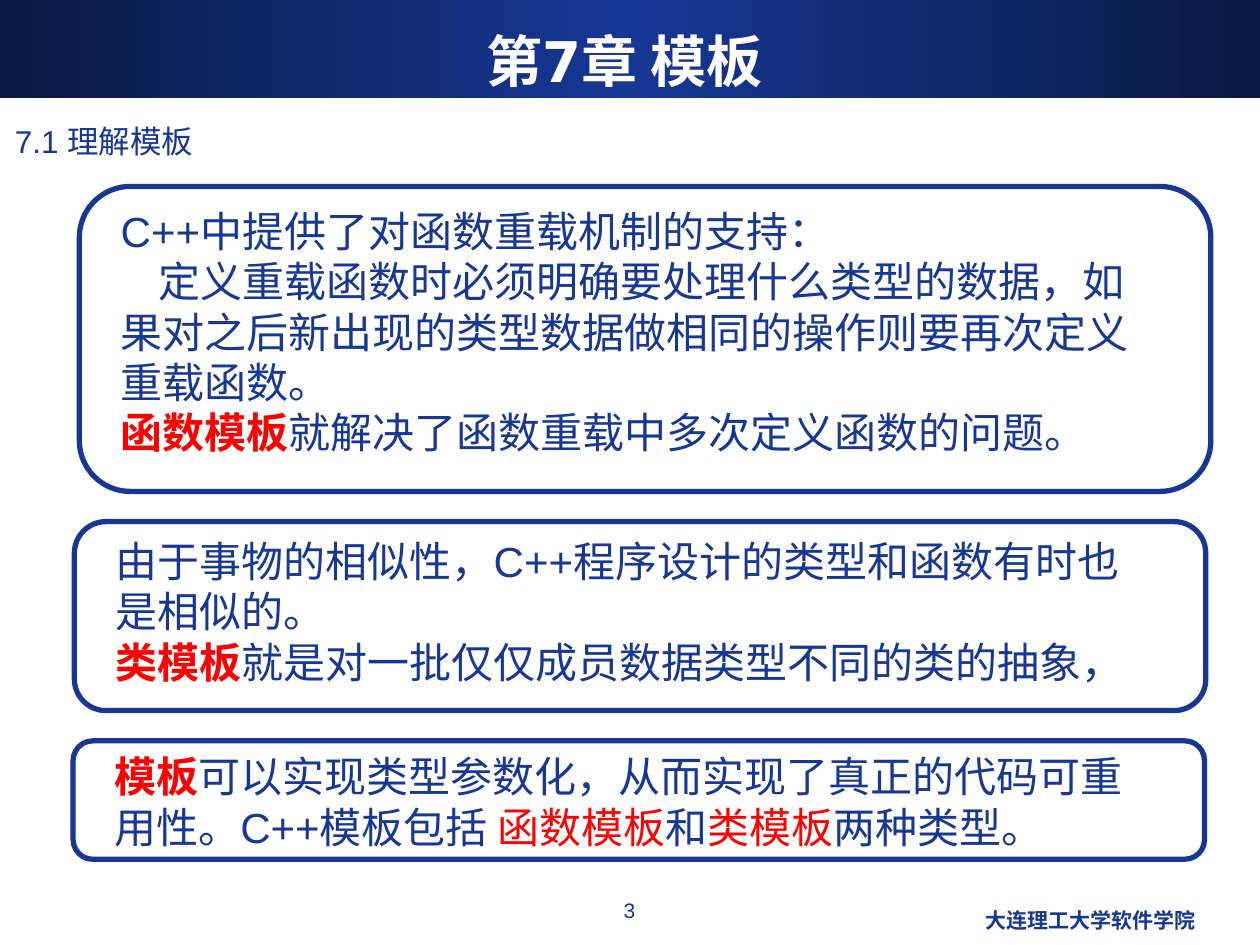
import dataclasses

import pptx
import pptx.dml.color
import pptx.enum.shapes
import pptx.enum.text
import pptx.util

COLUMNS, ROWS = 100, 75
SLIDE_WIDTH, SLIDE_HEIGHT = pptx.util.Inches(10), pptx.util.Inches(7.5)
ALIGN = pptx.enum.text.PP_ALIGN
SHAPE = pptx.enum.shapes.MSO_SHAPE


@dataclasses.dataclass(frozen=True)
class Theme:
    blue: str = "163794"
    navy: str = "0A1944"
    red: str = "FF0000"
    white: str = "FFFFFF"
    body_font: str = "Arial"
    title_font: str = "DejaVu Sans"
    title_size: int = 32
    section_size: int = 18
    body_size: int = 24
    footer_size: int = 12
    outline: int = 3


THEME = Theme()

# Run styles: colour and weight
PLAIN = (THEME.blue, False)
BOLD = (THEME.blue, True)
TERM = (THEME.red, False)
KEY_TERM = (THEME.red, True)

# Each panel: left, top and height of its frame, top and height of its text,
# then its paragraphs as (first line indented, runs)
PANEL_WIDTH, PANEL_TEXT_WIDTH, PANEL_TEXT_INSET = 89.8, 83.6, 2.3
FIRST_LINE_INDENT = pptx.util.Inches(0.3)
PANELS = [
    (6.3, 14.8, 24.2, 15.8, 21, [
        (False, [("C++中提供了对函数重载机制的支持：", PLAIN)]),
        (True, [("定义重载函数时必须明确要处理什么类型的数据，如果对之后新出现的"
                 "类型数据做相同的操作则要再次定义重载函数。", PLAIN)]),
        (False, [("函数模板", KEY_TERM),
                 ("就解决了函数重载中多次定义函数的问题。", PLAIN)]),
    ]),
    (5.9, 41.4, 15, 42, 13, [
        (False, [("由于事物的相似性，C++程序设计的类型和函数有时也是相似的。", PLAIN)]),
        (False, [("类模板", KEY_TERM),
                 ("就是对一批仅仅成员数据类型不同的类的抽象，", PLAIN)]),
    ]),
    (5.8, 58.8, 9.4, 59.1, 9, [
        (False, [("模板", KEY_TERM),
                 ("可以实现类型参数化，从而实现了真正的代码可重用性。C++模板包括 ", PLAIN),
                 ("函数模板", TERM), ("和", PLAIN),
                 ("类模板", TERM), ("两种类型。", PLAIN)]),
    ]),
]


def color(value):
    return pptx.dml.color.RGBColor.from_string(value)


def cells(left, top, width, height):
    """Turn grid columns and rows into slide lengths."""
    column, row = SLIDE_WIDTH / COLUMNS, SLIDE_HEIGHT / ROWS
    return (round(left * column), round(top * row),
            round(width * column), round(height * row))


def add_run(paragraph, text, style, size, font_name=THEME.body_font):
    run = paragraph.add_run()
    run.text = text
    run.font.name = font_name
    run.font.size = pptx.util.Pt(size)
    run.font.color.rgb = color(style[0])
    run.font.bold = style[1]


def add_text(shapes, area, paragraphs, size, alignment=ALIGN.LEFT):
    frame = shapes.add_textbox(*cells(*area)).text_frame
    frame.word_wrap = True
    for index, (indented, runs) in enumerate(paragraphs):
        paragraph = frame.add_paragraph() if index else frame.paragraphs[0]
        paragraph.alignment = alignment
        if indented:
            paragraph._p.get_or_add_pPr().set("indent", str(FIRST_LINE_INDENT))
        for text, style in runs:
            add_run(paragraph, text, style, size)


def add_band(slide):
    """Draw the gradient header band behind everything else."""
    band = slide.shapes.add_shape(SHAPE.RECTANGLE, *cells(0, 0, COLUMNS, 7.8))
    band.shadow.inherit = False
    band.line.fill.background()
    band.fill.gradient()
    band.fill.gradient_angle = 0
    stops = band.fill._fill._gradFill.gsLst
    for stop, value in zip(band.fill.gradient_stops, (THEME.navy, THEME.blue)):
        stop.color.rgb = color(value)
    # Blue in the middle, navy at both ends
    stops[0].set("pos", "0")
    stops[1].set("pos", "50000")
    last = stops[0].makeelement(stops[0].tag, {"pos": "100000"})
    last.append(last.makeelement(stops[0][0].tag, {"val": THEME.navy}))
    stops.append(last)
    slide.shapes._spTree.insert(2, band._element)


def set_title(slide, text):
    title = slide.shapes.title
    title.left, title.top, title.width, title.height = cells(3.3, 1.7, 92.5, 6.2)
    frame = title.text_frame
    frame.vertical_anchor = pptx.enum.text.MSO_ANCHOR.MIDDLE
    frame.auto_size = pptx.enum.text.MSO_AUTO_SIZE.NONE
    paragraph = frame.paragraphs[0]
    paragraph.alignment = ALIGN.CENTER
    add_run(paragraph, text, (THEME.white, True), THEME.title_size, THEME.title_font)


def add_panel(slide, left, top, height, text_top, text_height, paragraphs):
    """Group a rounded outline with the text that it frames."""
    group = slide.shapes.add_group_shape()
    outline = group.shapes.add_shape(
        SHAPE.ROUNDED_RECTANGLE, *cells(left, top, PANEL_WIDTH, height))
    outline.shadow.inherit = False
    outline.fill.background()
    outline.line.color.rgb = color(THEME.blue)
    outline.line.width = pptx.util.Pt(THEME.outline)
    area = (left + PANEL_TEXT_INSET, text_top, PANEL_TEXT_WIDTH, text_height)
    add_text(group.shapes, area, paragraphs, THEME.body_size)


def main():
    presentation = pptx.Presentation()
    presentation.slide_width = SLIDE_WIDTH
    presentation.slide_height = SLIDE_HEIGHT
    slide = presentation.slides.add_slide(presentation.slide_layouts[5])

    # Header
    add_band(slide)
    set_title(slide, "第7章 模板")
    add_text(slide.shapes, (0.2, 9.2, 92.5, 4.1),
             [(False, [("7.1 理解模板", PLAIN)])], THEME.section_size)

    # Body
    for panel in PANELS:
        add_panel(slide, *panel)

    # Footer
    add_text(slide.shapes, (38.3, 70.7, 23.3, 3.5),
             [(False, [("3", PLAIN)])], THEME.footer_size, ALIGN.CENTER)
    add_text(slide.shapes, (64.2, 71.5, 31.7, 3.5),
             [(False, [("大连理工大学软件学院", BOLD)])], THEME.footer_size, ALIGN.RIGHT)

    presentation.save("out.pptx")


if __name__ == "__main__":
    main()
